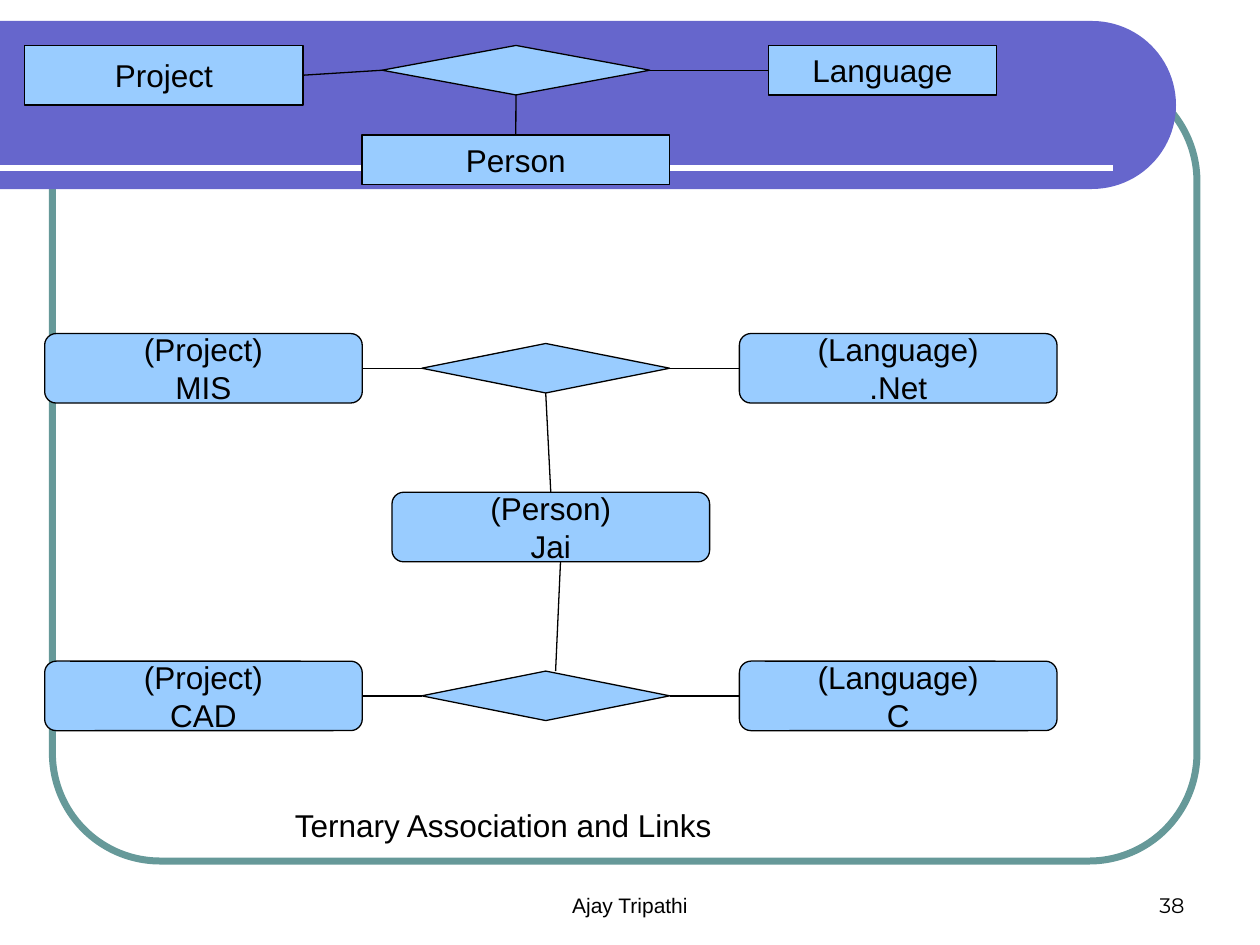
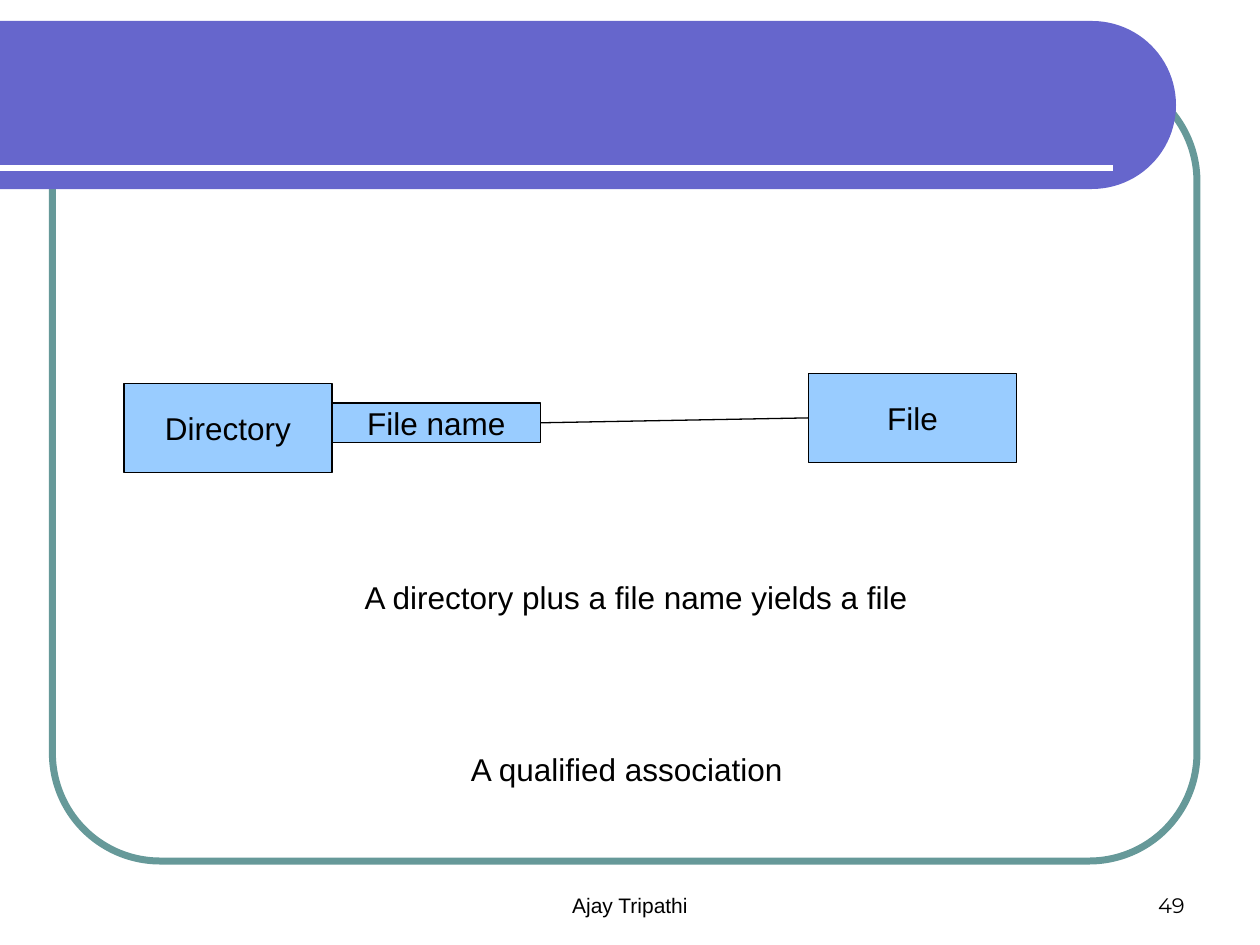
import math
from lxml import etree
from pptx import Presentation
from pptx.dml.color import RGBColor
from pptx.enum import shapes as kinds, text as txt
from pptx.oxml.ns import qn
from pptx.util import Pt

COLOURS = {"ink": "000000", "box": "99CCFF", "band": "6666CC", "frame": "669999", "rule": "FFFFFF"}
AUTHOR = "Ajay Tripathi"
TOP, LEFT, BOTTOM, RIGHT = range(4)

RECT = kinds.MSO_SHAPE.RECTANGLE
ROUNDED = kinds.MSO_SHAPE.FLOWCHART_ALTERNATE_PROCESS
DIAMOND = kinds.MSO_SHAPE.FLOWCHART_DECISION

INSTANCE = (181.5, 39.7)
LINK = (141.7, 28.3)
PROJECT_X, LINK_X, LANGUAGE_X = 25.5, 241, 422.5
PERSON_X, PERSON_Y = 224, 281.3
LINK_ROWS = {"MIS": (".Net", 190.6), "CAD": ("C", 377.8)}

CLASS_NODES = {
    "project": (RECT, ["Project"], (14.2, 26, 159, 34)),
    "language": (RECT, ["Language"], (439, 26, 130.5, 28.3)),
    "person": (RECT, ["Person"], (206.9, 77.2, 175.7, 28.3)),
    "ternary": (DIAMOND, [], (218.3, 26, 153.1, 28.3)),
}
CLASS_LINES = [
    ("project", RIGHT, "ternary", LEFT),
    ("ternary", RIGHT, "language", LEFT),
    ("ternary", BOTTOM, "person", TOP),
]


def instance_parts():
    nodes = {"Jai": (ROUNDED, ["(Person)", "Jai"], (PERSON_X, PERSON_Y, *INSTANCE))}
    lines = [("link MIS", BOTTOM, "Jai", TOP)]
    for project, (language, y) in LINK_ROWS.items():
        link = f"link {project}"
        link_y = y + (INSTANCE[1] - LINK[1]) / 2
        nodes[project] = (ROUNDED, ["(Project)", project], (PROJECT_X, y, *INSTANCE))
        nodes[language] = (ROUNDED, ["(Language)", language], (LANGUAGE_X, y, *INSTANCE))
        nodes[link] = (DIAMOND, [], (LINK_X, link_y, *LINK))
        lines += [(project, RIGHT, link, LEFT), (link, RIGHT, language, LEFT)]
    return nodes, lines


INSTANCE_NODES, INSTANCE_LINES = instance_parts()

SLIDES = [
    {
        "number": "38",
        "nodes": {**CLASS_NODES, **INSTANCE_NODES},
        "lines": CLASS_LINES + INSTANCE_LINES,
        "free_lines": [((320.3, 321), (317.5, 383.5))],
        "captions": [("Ternary Association and Links", (161.5, 457, 351.5, 29), True)],
    },
    {
        "number": "49",
        "nodes": {
            "directory": (RECT, ["Directory"], (70.8, 219, 119, 51)),
            "file": (RECT, ["File"], (462, 213.3, 119, 51)),
            "qualifier": (RECT, ["File name"], (189.9, 230.3, 119, 22.6)),
        },
        "lines": [("qualifier", RIGHT, "file", LEFT)],
        "free_lines": [],
        "captions": [
            ("A qualified association", (262, 425, 194, 29), False),
            ("A directory plus a file name yields a file", (201.3, 326.6, 325.5, 29), False),
        ],
    },
]


def colour(name):
    return RGBColor.from_string(COLOURS[name])


def points(*lengths):
    return [Pt(length) for length in lengths]


def apply(target, formats):
    for attribute, value in formats.items():
        setattr(target, attribute, value)


def paint(shape, fill=None, line=None, width=0.75):
    shape.shadow.inherit = False
    if fill:
        shape.fill.solid()
        shape.fill.fore_color.rgb = colour(fill)
    else:
        shape.fill.background()
    if line:
        shape.line.color.rgb = colour(line)
        shape.line.width = Pt(width)
    else:
        shape.line.fill.background()
    return shape


def write(frame, rows, align, size=18, font="Arial", **frame_formats):
    apply(frame, frame_formats)
    for index, row in enumerate(rows):
        paragraph = frame.add_paragraph() if index else frame.paragraphs[0]
        paragraph.text = row
        paragraph.alignment = align
        apply(paragraph.font, {"size": Pt(size), "name": font})
        paragraph.font.color.rgb = colour("ink")


def draw_line(slide, start, end, ink="ink", width=0.75):
    line = slide.shapes.add_connector(kinds.MSO_CONNECTOR.STRAIGHT, *points(*start, *end))
    line.line.color.rgb = colour(ink)
    line.line.width = Pt(width)
    etree.SubElement(line._element.spPr, qn("a:effectLst"))
    return line


def draw_template(slide, number):
    frame = slide.shapes.add_shape(kinds.MSO_SHAPE.ROUNDED_RECTANGLE, *points(30, 42, 654, 450))
    frame.adjustments[0] = 0.137
    paint(frame, line="frame", width=4)

    centre_x, centre_y, radius, steps = 624, 60, 48, 48
    angles = [math.pi * (step / steps - 0.5) for step in range(steps + 1)]
    arc = [points(centre_x + radius * math.cos(a), centre_y + radius * math.sin(a)) for a in angles]
    band = slide.shapes.build_freeform(*points(0, centre_y - radius))
    band.add_line_segments(arc + [points(0, centre_y + radius)], close=True)
    paint(band.convert_to_shape(), fill="band")
    draw_line(slide, (0, 96), (636, 96), "rule", 3)

    for words, place, align, font in (
        (AUTHOR, (246, 492, 228, 36), txt.PP_ALIGN.CENTER, "Arial"),
        (number, (516, 492, 168, 36), txt.PP_ALIGN.RIGHT, "Montserrat"),
    ):
        footer = slide.shapes.add_textbox(*points(*place)).text_frame
        write(footer, [words], align, 12, font, word_wrap=True, vertical_anchor=txt.MSO_ANCHOR.BOTTOM)


def draw_diagram(slide, content):
    drawn = {}
    for key, (kind, rows, place) in content["nodes"].items():
        node = paint(slide.shapes.add_shape(kind, *points(*place)), "box", "ink")
        write(node.text_frame, rows, txt.PP_ALIGN.CENTER,
              word_wrap=False, vertical_anchor=txt.MSO_ANCHOR.MIDDLE)
        drawn[key] = node
    for start, start_side, end, end_side in content["lines"]:
        line = draw_line(slide, (0, 0), (0, 0))
        line.begin_connect(drawn[start], start_side)
        line.end_connect(drawn[end], end_side)
    for start, end in content["free_lines"]:
        draw_line(slide, start, end)
    for words, place, wraps in content["captions"]:
        caption = slide.shapes.add_textbox(*points(*place)).text_frame
        write(caption, [words], txt.PP_ALIGN.LEFT,
              word_wrap=wraps, auto_size=txt.MSO_AUTO_SIZE.SHAPE_TO_FIT_TEXT)


def main():
    deck = Presentation()
    apply(deck, {"slide_width": Pt(720), "slide_height": Pt(540)})
    for content in SLIDES:
        slide = deck.slides.add_slide(deck.slide_layouts[6])
        draw_template(slide, content["number"])
        draw_diagram(slide, content)
    deck.save("out.pptx")


if __name__ == "__main__":
    main()
